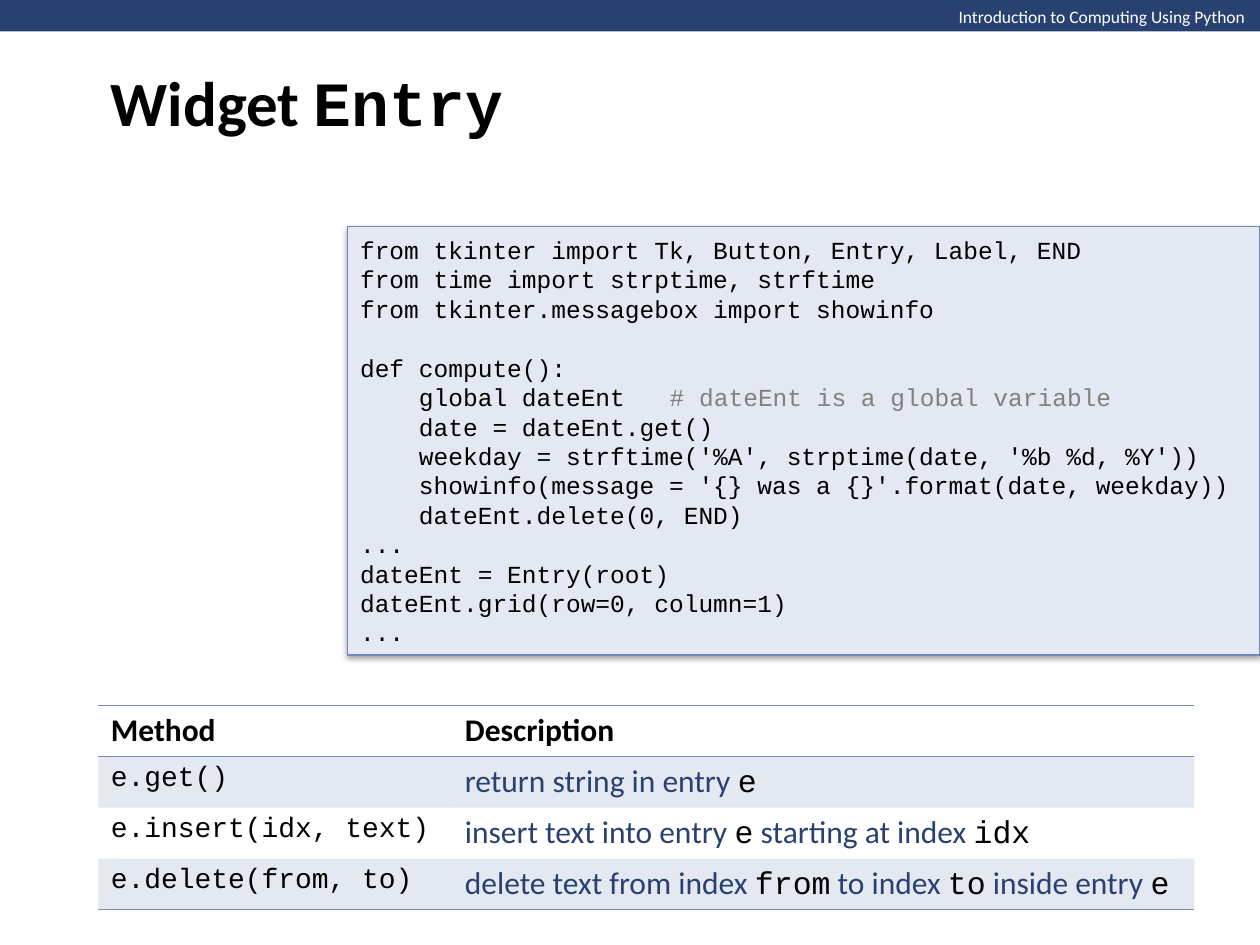
from lxml.etree import SubElement
from pptx import Presentation
from pptx.dml.color import RGBColor
from pptx.enum.shapes import MSO_SHAPE as Shape
from pptx.enum.text import MSO_ANCHOR as Anchor, PP_ALIGN as Align
from pptx.oxml.ns import qn
from pptx.util import Inches, Pt

COLORS = {
    "navy": "294171", "white": "FFFFFF", "black": "000000", "rule": "748CBC",
    "code_fill": "E3E8F2", "code_line": "7088BA", "comment": "808080",
}
SANS, MONO = "Calibri", "Courier New"
NO_STYLE = "{2D5ABB26-0587-4C30-8999-92F81FD0307C}"

CODE = """from tkinter import Tk, Button, Entry, Label, END
from time import strptime, strftime
from tkinter.messagebox import showinfo

def compute():
    global dateEnt   # dateEnt is a global variable
    date = dateEnt.get()
    weekday = strftime('%A', strptime(date, '%b %d, %Y'))
    showinfo(message = '{} was a {}'.format(date, weekday))
    dateEnt.delete(0, END)
...
dateEnt = Entry(root)
dateEnt.grid(row=0, column=1)
..."""

# Backticks enclose code within a description.
METHODS = [
    ("e.get()", "return string in entry `e`"),
    ("e.insert(idx, text)", "insert text into entry `e` starting at index `idx`"),
    ("e.delete(from, to)",
     "delete text from index `from` to index `to` inside entry `e`"),
]


def rgb(name):
    return RGBColor.from_string(COLORS[name])


def add_run(paragraph, text, size, font=SANS, color="black", bold=False):
    run = paragraph.add_run()
    run.text = text
    run.font.size, run.font.name, run.font.bold = Pt(size), font, bold
    run.font.color.rgb = rgb(color)


def add_marked_runs(paragraph, text, size, color="black", bold=False):
    """Set the parts between backticks in black monospace."""
    for index, part in enumerate(text.split("`")):
        if part and index % 2:
            add_run(paragraph, part, size, MONO, bold=bold)
        elif part:
            add_run(paragraph, part, size, SANS, color, bold)


def add_header(slide, left, top, width, height):
    band = slide.shapes.add_shape(Shape.RECTANGLE, left, top, width, height)
    band.shadow.inherit = False
    band.fill.solid()
    band.fill.fore_color.rgb = rgb("navy")
    band.line.fill.background()
    label_width = Inches(2.5)
    label = slide.shapes.add_textbox(
        left + width - label_width, top, label_width, Inches(0.27))
    label.text_frame.word_wrap = False
    add_run(label.text_frame.paragraphs[0],
            "Introduction to Computing Using Python", 10, color="white")


def place_title(slide, left, top, width, height):
    title = slide.shapes.title
    title.left, title.top, title.width, title.height = left, top, width, height
    title.text_frame.vertical_anchor = Anchor.MIDDLE
    paragraph = title.text_frame.paragraphs[0]
    paragraph.alignment = Align.LEFT
    add_marked_runs(paragraph, "Widget `Entry`", 36, bold=True)


def add_drop_shadow(shape):
    shape.shadow.inherit = False
    effects = shape._element.spPr.find(qn("a:effectLst"))
    shadow = SubElement(effects, qn("a:outerShdw"), blurRad=str(Pt(3.1)),
                        dist=str(Pt(1.6)), dir="5400000", rotWithShape="0")
    color = SubElement(shadow, qn("a:srgbClr"), val=COLORS["black"])
    SubElement(color, qn("a:alpha"), val="38000")


def add_code(slide, left, top, width, height):
    box = slide.shapes.add_shape(Shape.RECTANGLE, left, top, width, height)
    add_drop_shadow(box)
    box.fill.solid()
    box.fill.fore_color.rgb = rgb("code_fill")
    box.line.color.rgb = rgb("code_line")
    box.line.width = Pt(0.75)
    frame = box.text_frame
    frame.word_wrap = True
    frame.vertical_anchor = Anchor.MIDDLE
    paragraph = frame.paragraphs[0]
    for block_number, block in enumerate(CODE.split("\n\n")):
        for line_number, line in enumerate(block.split("\n")):
            if block_number or line_number:
                paragraph = frame.add_paragraph()
            paragraph.alignment = Align.LEFT
            if block_number and not line_number:
                paragraph.space_before = Pt(16.8)
            statement, mark, comment = line.partition("#")
            add_run(paragraph, statement, 14, MONO)
            if mark:
                add_run(paragraph, mark + comment, 14, MONO, "comment")


def format_cell(cell, shaded, edges):
    """Shade the cell and rule the given edges (lnT before lnB)."""
    properties = cell._tc.get_or_add_tcPr()
    for edge in edges:
        line = SubElement(properties, qn(f"a:{edge}"), w=str(Pt(1)))
        fill = SubElement(line, qn("a:solidFill"))
        SubElement(fill, qn("a:srgbClr"), val=COLORS["rule"])
    if shaded:
        cell.fill.solid()
        cell.fill.fore_color.rgb = rgb("rule")
        color = properties.find(qn("a:solidFill")).find(qn("a:srgbClr"))
        SubElement(color, qn("a:alpha"), val="20000")
    else:
        cell.fill.background()


def add_methods(slide, left, top, width, height):
    row_count = len(METHODS) + 1
    table = slide.shapes.add_table(
        row_count, 2, left, top, width, height).table
    table._tbl.tblPr.find(qn("a:tableStyleId")).text = NO_STYLE
    table.columns[0].width = Inches(2.81)
    table.columns[1].width = width - Inches(2.81)
    for column, heading in enumerate(("Method", "Description")):
        cell = table.cell(0, column)
        add_run(cell.text_frame.paragraphs[0], heading, 18, bold=True)
        format_cell(cell, False, ("lnT", "lnB"))
    for row, (method, description) in enumerate(METHODS, 1):
        name_cell, text_cell = table.cell(row, 0), table.cell(row, 1)
        add_run(name_cell.text_frame.paragraphs[0], method, 16, MONO)
        add_marked_runs(text_cell.text_frame.paragraphs[0], description, 18, "navy")
        edges = ("lnB",) if row == row_count - 1 else ()
        for cell in (name_cell, text_cell):
            format_cell(cell, row % 2 == 1, edges)


def main():
    presentation = Presentation()
    presentation.slide_width, presentation.slide_height = Inches(10), Inches(7.5)
    slide = presentation.slides.add_slide(presentation.slide_layouts[5])
    add_header(slide, Inches(0), Inches(0), Inches(10.01), Inches(0.25))
    place_title(slide, Inches(0.78), Inches(0), Inches(8.5), Inches(1.61))
    add_methods(slide, Inches(0.78), Inches(5.6), Inches(8.7), Inches(1.62))
    add_code(slide, Inches(2.76), Inches(1.8), Inches(7.24), Inches(3.4))
    presentation.save("out.pptx")


if __name__ == "__main__":
    main()
